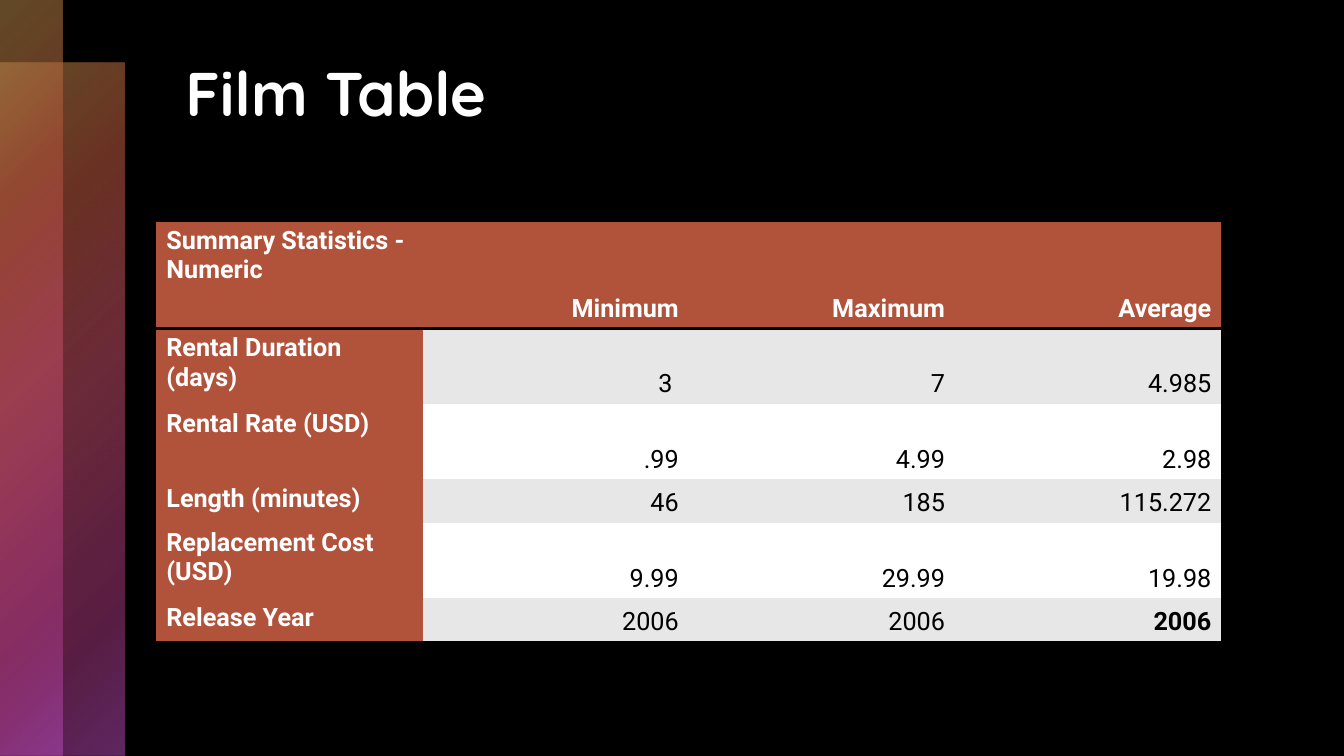
from pptx import Presentation
from pptx.dml.color import RGBColor
from pptx.enum.shapes import MSO_SHAPE
from pptx.enum.text import MSO_ANCHOR, PP_ALIGN
from pptx.oxml import parse_xml
from pptx.oxml.ns import nsdecls, qn
from pptx.util import Cm, Pt

HUES = {
    "black": "000000", "white": "FFFFFF", "rust": "B1523B", "gray": "E7E7E7",
    "gold": "C3954D", "rose": "C34D67", "plum": "B13B86", "violet": "BD4DC3",
}
PLAIN = "{2D5ABB26-0587-4C30-8999-92F81FD0307C}"
BLEND = [("gold", 0, 50), ("rust", 25, 60), ("rose", 50, 55),
         ("plum", 81, 50), ("violet", 99, 50)]
STATS = [
    ["Summary Statistics - Numeric", "Minimum", "Maximum", "Average"],
    ["Rental Duration (days)", "3 ", "7", "4.985"],
    ["Rental Rate (USD)", ".99", "4.99", "2.98"],
    ["Length (minutes)", "46", "185", "115.272"],
    ["Replacement Cost (USD)", "9.99", "29.99", "19.98"],
    ["Release Year", "2006", "2006", "2006"],
]
HEIGHTS = [2.72, 1.9, 1.9, 1.1, 1.9, 1.1]
WIDTH = 6.71


class Deck:
    def __init__(self):
        self.show = Presentation()
        self.show.slide_width = Cm(33.87)
        self.show.slide_height = Cm(19.05)
        self.slide = self.show.slides.add_slide(self.show.slide_layouts[6])
        self.paint(self.slide.background.fill, "black")

    def paint(self, fill, hue):
        fill.solid()
        fill.fore_color.rgb = RGBColor.from_string(HUES[hue])

    def text(self, para, words, font, size, hue, bold):
        run = para.add_run()
        run.text = words
        run.font.name = font
        run.font.size = Pt(size)
        run.font.bold = bold
        run.font.color.rgb = RGBColor.from_string(HUES[hue])

    def band(self, top, width, height):
        bar = self.slide.shapes.add_shape(
            MSO_SHAPE.RECTANGLE, 0, Cm(top), Cm(width), Cm(height))
        bar.shadow.inherit = False
        bar.line.fill.background()
        bar.fill.background()
        stops = "".join(
            f'<a:gs pos="{spot * 1000}"><a:srgbClr val="{HUES[hue]}">'
            f'<a:alpha val="{alpha * 1000}"/></a:srgbClr></a:gs>'
            for hue, spot, alpha in BLEND)
        grad = parse_xml(
            f'<a:gradFill {nsdecls("a")} rotWithShape="1"><a:gsLst>{stops}</a:gsLst>'
            '<a:path path="circle"><a:fillToRect r="100000" b="100000"/></a:path>'
            '</a:gradFill>')
        props = bar.element.spPr
        props.replace(props.find(qn("a:noFill")), grad)

    def title(self, words, left, top, width, height):
        box = self.slide.shapes.add_textbox(Cm(left), Cm(top), Cm(width), Cm(height))
        box.text_frame.word_wrap = True
        self.text(box.text_frame.paragraphs[0], words, "Quicksand", 44, "white", True)

    def border(self, cell, sides):
        props = cell._tc.get_or_add_tcPr()
        for spot, side in enumerate(sides):
            line = parse_xml(
                f'<a:{side} {nsdecls("a")} w="25400"><a:solidFill>'
                f'<a:srgbClr val="{HUES["black"]}"/></a:solidFill></a:{side}>')
            props.insert(spot, line)

    def cell(self, cell, words, row, col):
        head = row == 0 or col == 0
        last = row == len(STATS) - 1
        para = cell.text_frame.paragraphs[0]
        if col:
            cell.vertical_anchor = MSO_ANCHOR.BOTTOM
            para.alignment = PP_ALIGN.RIGHT
        bold = head or (last and col == 3)
        self.text(para, words, "Roboto", 18, "white" if head else "black", bold)
        self.paint(cell.fill, "rust" if head else "gray" if row % 2 else "white")
        if row == 0:
            self.border(cell, ["lnT", "lnB"])
        elif last:
            self.border(cell, ["lnB"])

    def table(self, left, top):
        rows, cols = len(STATS), len(STATS[0])
        frame = self.slide.shapes.add_table(
            rows, cols, Cm(left), Cm(top), Cm(WIDTH * cols), Cm(sum(HEIGHTS)))
        grid = frame.table
        for style in frame.element.iter(qn("a:tableStyleId")):
            style.text = PLAIN
        grid.horz_banding = False
        for col in grid.columns:
            col.width = Cm(WIDTH)
        for row, (line, height) in enumerate(zip(STATS, HEIGHTS)):
            grid.rows[row].height = Cm(height)
            for col, words in enumerate(line):
                self.cell(grid.cell(row, col), words, row, col)


def main():
    deck = Deck()
    deck.band(1.57, 3.15, 17.48)
    deck.band(0, 1.57, 19.05)
    deck.title("Film Table", 4.42, 1.27, 26.34, 4.32)
    deck.table(3.94, 5.56)
    deck.show.save("out.pptx")


if __name__ == "__main__":
    main()
